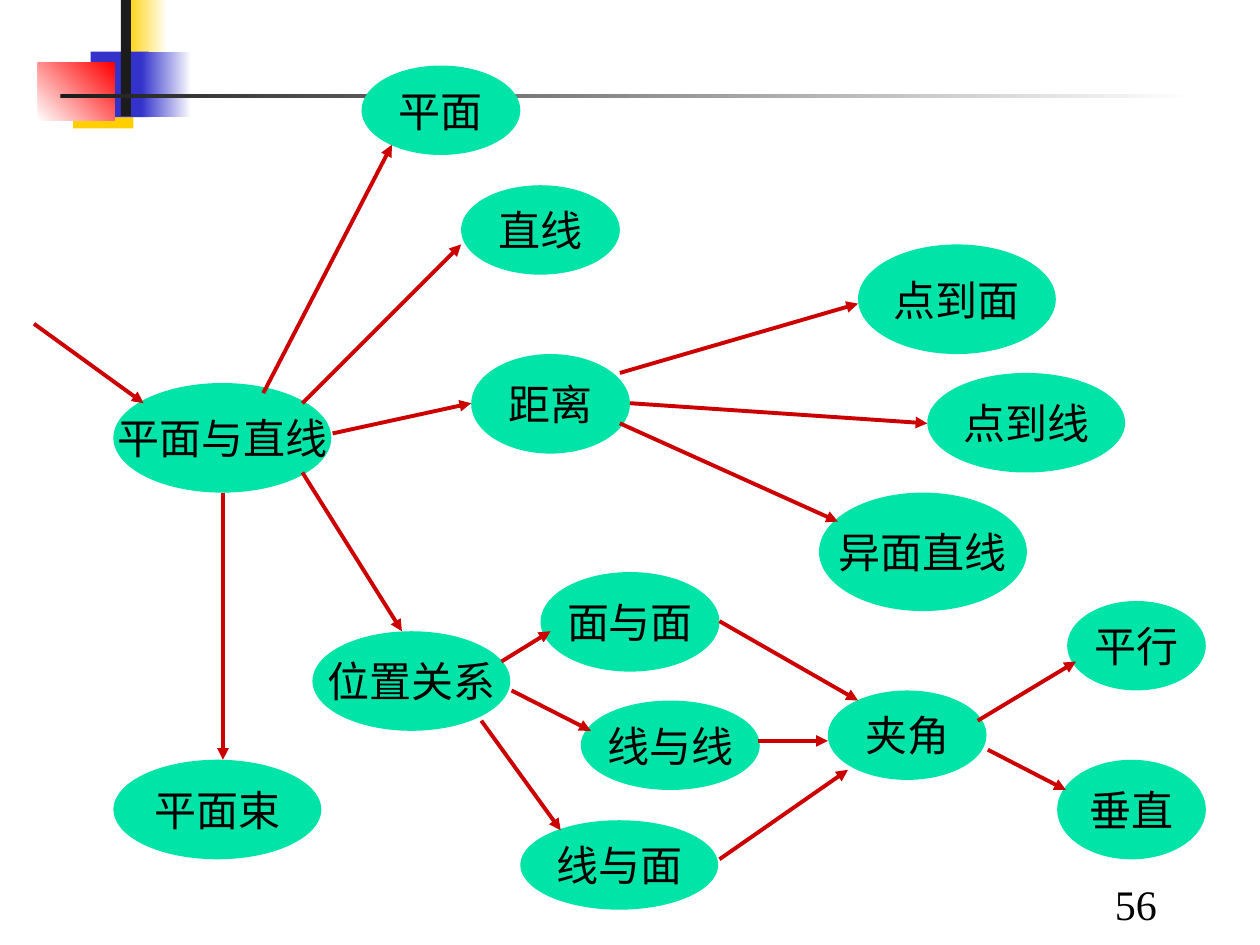
from lxml import etree
from pptx import Presentation
from pptx.dml.color import RGBColor
from pptx.enum.shapes import MSO_CONNECTOR, MSO_SHAPE
from pptx.enum.text import MSO_ANCHOR, MSO_AUTO_SIZE, PP_ALIGN
from pptx.oxml.ns import qn
from pptx.util import Inches, Pt

RECTANGLE = MSO_SHAPE.RECTANGLE
OVAL = MSO_SHAPE.OVAL
STRAIGHT = MSO_CONNECTOR.STRAIGHT
CENTER = PP_ALIGN.CENTER
MIDDLE = MSO_ANCHOR.MIDDLE
TOP = MSO_ANCHOR.TOP
FIT_SHAPE = MSO_AUTO_SIZE.SHAPE_TO_FIT_TEXT

COLORS = {
    "yellow": "FFCF01",
    "blue": "3333CC",
    "red": "FF0000",
    "dark": "1C1C1C",
    "white": "FFFFFF",
    "topic": "00E4A8",
    "arrow": "CC0000",
    "text": "000000",
}
LABEL_FONT = {"name": "Times New Roman", "size": Pt(24)}

DECORATIONS = [
    ((0.58, 0.5, 0.48, 0.52), ["yellow"], 0),
    ((1, 0, 0.33, 0.47), ["yellow", "white"], 0),
    ((0.72, 0.41, 0.46, 0.52), ["blue"], 0),
    ((1.12, 0.41, 0.4, 0.52), ["blue", "white"], 0),
    ((0.3, 0.5, 0.61, 0.46), ["white", "red"], 45),
    ((0.96, 0, 0.08, 0.92), ["dark"], 0),
    ((0.48, 0.75, 9, 0.03), ["dark", "white"], 0),
]

TOPICS = [
    ("平面与直线", (0.9, 3.04, 1.73, 0.87)),
    ("平面", (2.87, 0.52, 1.26, 0.71)),
    ("直线", (3.66, 1.47, 1.26, 0.71)),
    ("距离", (3.74, 2.81, 1.26, 0.79)),
    ("位置关系", (2.48, 5.01, 1.57, 0.79)),
    ("点到面", (6.81, 1.94, 1.57, 0.87)),
    ("点到线", (7.36, 2.96, 1.57, 0.79)),
    ("异面直线", (6.5, 3.91, 1.65, 0.94)),
    ("面与面", (4.29, 4.54, 1.42, 0.79)),
    ("线与线", (4.61, 5.56, 1.42, 0.71)),
    ("线与面", (4.13, 6.51, 1.57, 0.71)),
    ("夹角", (6.57, 5.48, 1.26, 0.71)),
    ("平行", (8.47, 4.77, 1.1, 0.71)),
    ("垂直", (8.39, 6.03, 1.18, 0.79)),
    ("平面束", (0.9, 6.03, 1.65, 0.79)),
]

ARROWS = [
    (0.27, 2.57, 1.14, 3.2),
    (2.09, 3.12, 3.11, 1.15),
    (2.4, 3.2, 3.66, 1.94),
    (2.64, 3.44, 3.74, 3.2),
    (2.4, 3.75, 3.19, 5.01),
    (4.92, 2.96, 6.81, 2.41),
    (5, 3.2, 7.36, 3.36),
    (4.92, 3.36, 6.65, 4.14),
    (3.98, 5.25, 4.37, 5.01),
    (4.06, 5.48, 4.69, 5.8),
    (3.82, 5.72, 4.45, 6.59),
    (5.71, 4.93, 6.81, 5.56),
    (6.02, 5.88, 6.57, 5.88),
    (5.71, 6.82, 6.73, 6.11),
    (7.76, 5.72, 8.54, 5.25),
    (7.84, 5.95, 8.46, 6.27),
    (1.77, 3.91, 1.77, 6.03),
]


def color(name):
    return RGBColor.from_string(COLORS[name])


def inches(values):
    return [Inches(value) for value in values]


def add_plain_shape(slide, preset, box):
    shape = slide.shapes.add_shape(preset, *inches(box))
    shape.shadow.inherit = False
    shape.line.fill.background()
    return shape


def add_decoration(slide, box, tones, angle):
    fill = add_plain_shape(slide, RECTANGLE, box).fill
    if len(tones) == 1:
        fill.solid()
        fill.fore_color.rgb = color(tones[0])
        return
    fill.gradient()
    fill.gradient_angle = angle
    for stop, tone, position in zip(fill.gradient_stops, tones, (0, 1)):
        stop.color.rgb = color(tone)
        stop.position = position


def write_label(frame, text, anchor):
    frame.word_wrap = False
    frame.vertical_anchor = anchor
    paragraph = frame.paragraphs[0]
    paragraph.alignment = CENTER
    run = paragraph.add_run()
    run.text = text
    for attribute, value in LABEL_FONT.items():
        setattr(run.font, attribute, value)
    run.font.color.rgb = color("text")


def add_topic(slide, text, box):
    topic = add_plain_shape(slide, OVAL, box)
    topic.fill.solid()
    topic.fill.fore_color.rgb = color("topic")
    write_label(topic.text_frame, text, MIDDLE)


def add_arrow(slide, ends):
    arrow = slide.shapes.add_connector(STRAIGHT, *inches(ends))
    arrow.line.color.rgb = color("arrow")
    arrow.line.width = Pt(2.25)
    etree.SubElement(arrow.line._get_or_add_ln(), qn("a:tailEnd"), type="triangle")
    etree.SubElement(arrow._element.spPr, qn("a:effectLst"))


def add_page_number(slide, text, box):
    frame = slide.shapes.add_textbox(*inches(box)).text_frame
    write_label(frame, text, TOP)
    frame.auto_size = FIT_SHAPE


def main():
    presentation = Presentation()
    presentation.slide_width = Inches(10)
    presentation.slide_height = Inches(7.5)
    slide = presentation.slides.add_slide(presentation.slide_layouts.get_by_name("Blank"))
    for box, tones, angle in DECORATIONS:
        add_decoration(slide, box, tones, angle)
    for text, box in TOPICS:
        add_topic(slide, text, box)
    for ends in ARROWS:
        add_arrow(slide, ends)
    add_page_number(slide, "56", (8.75, 6.92, 0.53, 0.5))
    presentation.save("out.pptx")


if __name__ == "__main__":
    main()
